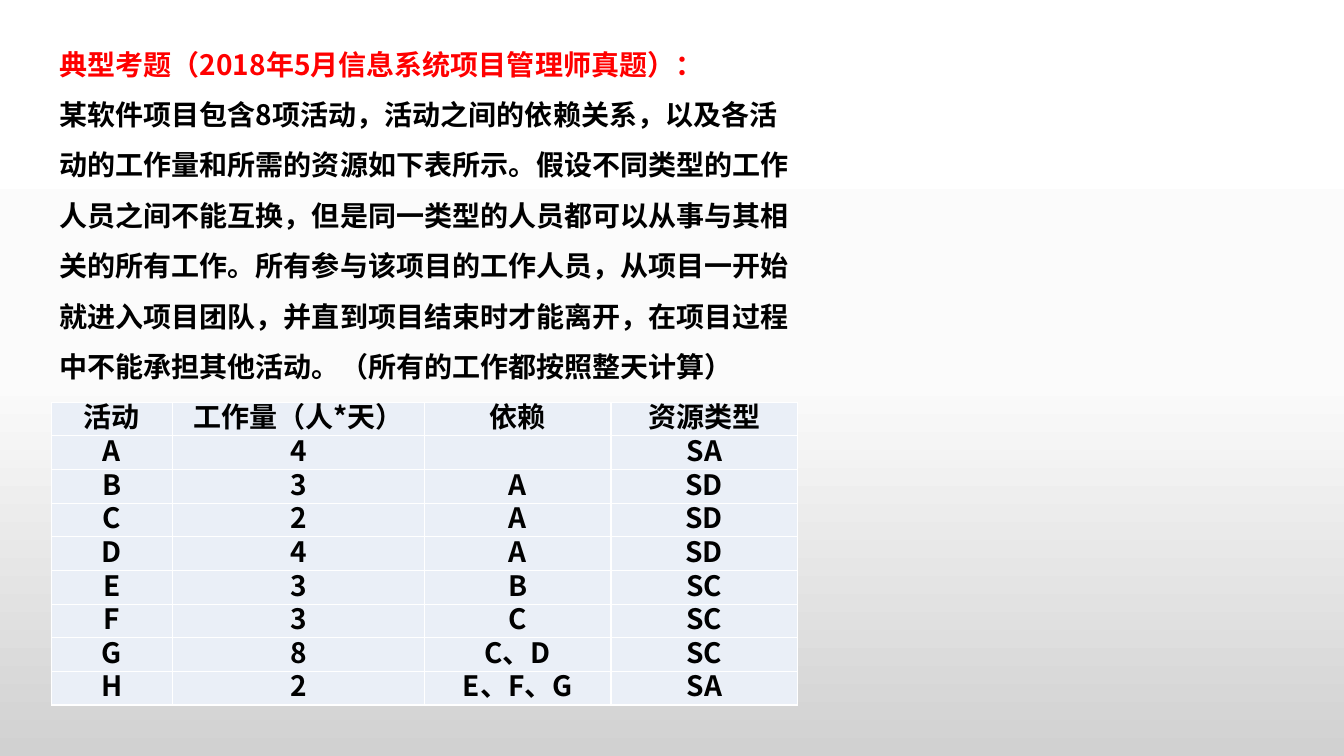
import pptx
import pptx.util
import pptx.dml.color
import pptx.enum.text
import pptx.oxml.ns
import copy
import lxml.etree

Inches, Pt = pptx.util.Inches, pptx.util.Pt
RGBColor = pptx.dml.color.RGBColor
ALIGN = pptx.enum.text.PP_ALIGN
AUTO = pptx.enum.text.MSO_AUTO_SIZE
qn = pptx.oxml.ns.qn

RED = RGBColor(0xFF, 0x00, 0x00)
BLACK = RGBColor(0x00, 0x00, 0x00)
WHITE = RGBColor(0xFF, 0xFF, 0xFF)
PALE = RGBColor(0xEA, 0xEF, 0xF7)
MIST = RGBColor(0xFB, 0xFB, 0xFB)
GREY = RGBColor(0xD1, 0xD1, 0xD1)
FONT = "Noto Sans CJK SC"

FORMAT = {"size": Pt(20), "bold": True, "name": FONT}
STOPS = [(0, WHITE), (0.5, MIST), (1, GREY)]
INTRO = [
    ("典型考题（2018年5月信息系统项目管理师真题）：", RED),
    ("某软件项目包含8项活动，活动之间的依赖关系，以及各活动的工作量和所需的资源如下表所示。"
     "假设不同类型的工作人员之间不能互换，但是同一类型的人员都可以从事与其相关的所有工作。"
     "所有参与该项目的工作人员，从项目一开始就进入项目团队，并直到项目结束时才能离开，"
     "在项目过程中不能承担其他活动。（所有的工作都按照整天计算）", BLACK),
]
ROWS = [
    ("活动", "工作量（人*天）", "依赖", "资源类型"),
    ("A", "4", "", "SA"),
    ("B", "3", "A", "SD"),
    ("C", "2", "A", "SD"),
    ("D", "4", "A", "SD"),
    ("E", "3", "B", "SC"),
    ("F", "3", "C", "SC"),
    ("G", "8", "C、D", "SC"),
    ("H", "2", "E、F、G", "SA"),
]
WIDTHS = [1.2, 2.5, 1.85, 1.85]


def apply(item, values):
    for key, value in values.items():
        setattr(item, key, value)


def write(para, text, color, lead):
    para.line_spacing = Pt(lead)
    if text:
        run = para.add_run()
        run.text = text
        apply(run.font, FORMAT)
        run.font.color.rgb = color
        props = run._r.get_or_add_rPr()
        lxml.etree.SubElement(props, qn("a:ea"), typeface=FONT)


def border(cell):
    props = cell._tc.get_or_add_tcPr()
    for spot, side in enumerate("LRTB"):
        line = lxml.etree.Element(qn("a:ln" + side), w=str(Pt(1)))
        fill = lxml.etree.SubElement(line, qn("a:solidFill"))
        lxml.etree.SubElement(fill, qn("a:srgbClr"), val=str(WHITE))
        props.insert(spot, line)


def backdrop(slide):
    fill = slide.background.fill
    fill.gradient()
    fill.gradient_angle = 270
    stops = slide._element.find(".//" + qn("a:gsLst"))
    stops.append(copy.deepcopy(stops[-1]))
    for stop, (place, color) in zip(fill.gradient_stops, STOPS):
        stop.position = place
        stop.color.rgb = color


def intro(slide):
    box = slide.shapes.add_textbox(Inches(0.39), Inches(0.24), Inches(7.65), Inches(3.65))
    frame = box.text_frame
    apply(frame, {
        "word_wrap": True, "auto_size": AUTO.SHAPE_TO_FIT_TEXT,
        "margin_left": Inches(0.11), "margin_right": Inches(0.11),
        "margin_top": Inches(0.06), "margin_bottom": Inches(0.06),
    })
    for rank, (text, color) in enumerate(INTRO):
        para = frame.add_paragraph() if rank else frame.paragraphs[0]
        write(para, text, color, 36)
        para._p.get_or_add_pPr().set("marL", str(Inches(0.09)))


def tasks(slide):
    high = Inches(3)
    table = slide.shapes.add_table(
        len(ROWS), len(WIDTHS), Inches(0.51), Inches(3.99),
        Inches(sum(WIDTHS)), high).table
    apply(table, {"first_row": False, "horz_banding": False})
    for column, width in zip(table.columns, WIDTHS):
        column.width = Inches(width)
    for row, texts in zip(table.rows, ROWS):
        row.height = high // len(ROWS)
        for cell, text in zip(row.cells, texts):
            apply(cell, {
                "margin_left": Inches(0.07), "margin_right": Inches(0.07),
                "margin_top": 0, "margin_bottom": 0,
            })
            cell.fill.solid()
            cell.fill.fore_color.rgb = PALE
            border(cell)
            para = cell.text_frame.paragraphs[0]
            para.alignment = ALIGN.CENTER
            write(para, text, BLACK, 24)


deck = pptx.Presentation()
apply(deck, {"slide_width": Inches(13.33), "slide_height": Inches(7.5)})
page = deck.slides.add_slide(deck.slide_layouts[6])
backdrop(page)
intro(page)
tasks(page)
deck.save("out.pptx")
